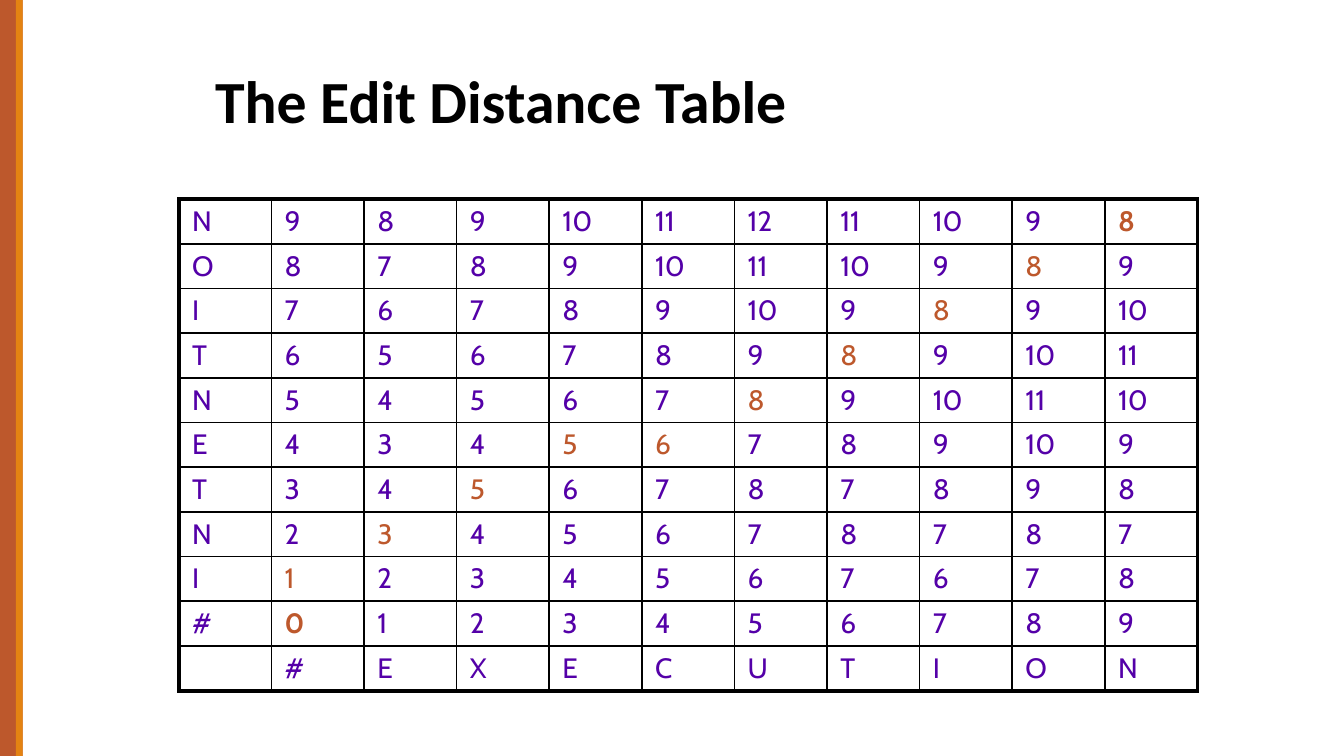
from typing import NamedTuple

from lxml.etree import SubElement
from pptx import Presentation
from pptx.dml.color import RGBColor
from pptx.enum.shapes import MSO_SHAPE as Shape
from pptx.enum.text import MSO_ANCHOR as Anchor, PP_ALIGN as Align
from pptx.oxml.ns import qn
from pptx.util import Cm, Pt

COLORS = {
    "rust": "BD582C",
    "orange": "E48312",
    "violet": "5400A8",
    "black": "000000",
}

# Source word upwards on the left, target word along the bottom
DISTANCE_ROWS = [
    "N 9 8 9 10 11 12 11 10 9 8",
    "O 8 7 8 9 10 11 10 9 8 9",
    "I 7 6 7 8 9 10 9 8 9 10",
    "T 6 5 6 7 8 9 8 9 10 11",
    "N 5 4 5 6 7 8 9 10 11 10",
    "E 4 3 4 5 6 7 8 9 10 9",
    "T 3 4 5 6 7 8 7 8 9 8",
    "N 2 3 4 5 6 7 8 7 8 7",
    "I 1 2 3 4 5 6 7 6 7 8",
    "# 0 1 2 3 4 5 6 7 8 9",
]
GRID = [row.split() for row in DISTANCE_ROWS] + [["", *"#EXECUTION"]]

# Cells of the cheapest alignment, as (row, column); its two ends are bold
PATH_ENDS = {(0, 10), (9, 1)}
PATH = PATH_ENDS | {(1, 9), (2, 8), (3, 7), (4, 6), (5, 5),
                    (5, 4), (6, 3), (7, 2), (8, 1)}

COLUMN_WIDTH = Cm(1.75)
ROW_HEIGHT = Cm(0.84)
THIN, THICK = Pt(1), Pt(2.25)


class Bar(NamedTuple):
    left: float
    width: float
    color: str


BARS = [Bar(0, 0.43, "rust"), Bar(0.3, 0.13, "orange")]


def write_text(frame, text: str, *, font: str, size: float, color: str,
               bold: bool = False, align=Align.LEFT):
    """Write one formatted paragraph and return it."""
    paragraph = frame.paragraphs[0]
    paragraph.alignment = align
    if text:
        run = paragraph.add_run()
        run.text = text
        run.font.name = font
        run.font.size = Pt(size)
        run.font.bold = bold
        run.font.color.rgb = RGBColor.from_string(COLORS[color])
    else:
        # An empty paragraph keeps its line height in its end mark
        SubElement(paragraph._p, qn("a:endParaRPr"), sz=str(int(size * 100)))
    return paragraph


def draw_bar(slide, bar: Bar, height: int) -> None:
    shape = slide.shapes.add_shape(
        Shape.RECTANGLE, Cm(bar.left), 0, Cm(bar.width), height)
    shape.shadow.inherit = False
    shape.fill.solid()
    shape.fill.fore_color.rgb = RGBColor.from_string(COLORS[bar.color])
    shape.line.fill.background()


def set_borders(cell, widths: dict[str, int]) -> None:
    properties = cell._tc.get_or_add_tcPr()
    for side, width in widths.items():
        line = SubElement(properties, qn(f"a:ln{side}"), w=str(int(width)))
        fill = SubElement(line, qn("a:solidFill"))
        SubElement(fill, qn("a:srgbClr"), val=COLORS["black"])


def draw_distance_table(slide, grid: list[list[str]]) -> None:
    row_count, column_count = len(grid), len(grid[0])
    table = slide.shapes.add_table(
        row_count, column_count, Cm(3.38), Cm(3.76),
        COLUMN_WIDTH * column_count, ROW_HEIGHT * row_count).table
    table.first_row = False
    table.horz_banding = False
    for column in table.columns:
        column.width = COLUMN_WIDTH
    for row in table.rows:
        row.height = ROW_HEIGHT

    for i, values in enumerate(grid):
        for j, value in enumerate(values):
            cell = table.cell(i, j)
            # Thick frame outside, thin lines inside
            set_borders(cell, {
                "L": THICK if j == 0 else THIN,
                "R": THICK if j == column_count - 1 else THIN,
                "T": THICK if i == 0 else THIN,
                "B": THICK if i == row_count - 1 else THIN,
            })
            cell.fill.background()
            cell.margin_left = cell.margin_right = Cm(0.25)
            cell.margin_top = cell.margin_bottom = Cm(0.1)
            paragraph = write_text(
                cell.text_frame, value, font="Cabin", size=15,
                color="rust" if (i, j) in PATH else "violet",
                bold=(i, j) in PATH_ENDS)
            spacing = SubElement(paragraph._p.get_or_add_pPr(), qn("a:spcBef"))
            SubElement(spacing, qn("a:spcPct"), val="20000")


def main() -> None:
    presentation = Presentation()
    presentation.slide_width = Cm(25.4)
    presentation.slide_height = Cm(14.28)
    slide = presentation.slides.add_slide(presentation.slide_layouts[5])

    # Side bars
    for bar in BARS:
        draw_bar(slide, bar, presentation.slide_height)

    # Distance table
    draw_distance_table(slide, GRID)

    # Title
    title = slide.shapes.title
    title.left, title.top = Cm(3.81), Cm(1.07)
    title.width, title.height = Cm(20.75), Cm(2.06)
    title.text_frame.vertical_anchor = Anchor.TOP
    write_text(title.text_frame, "The Edit Distance Table", font="Calibri",
               size=32, color="black", bold=True)

    presentation.save("out.pptx")


if __name__ == "__main__":
    main()
